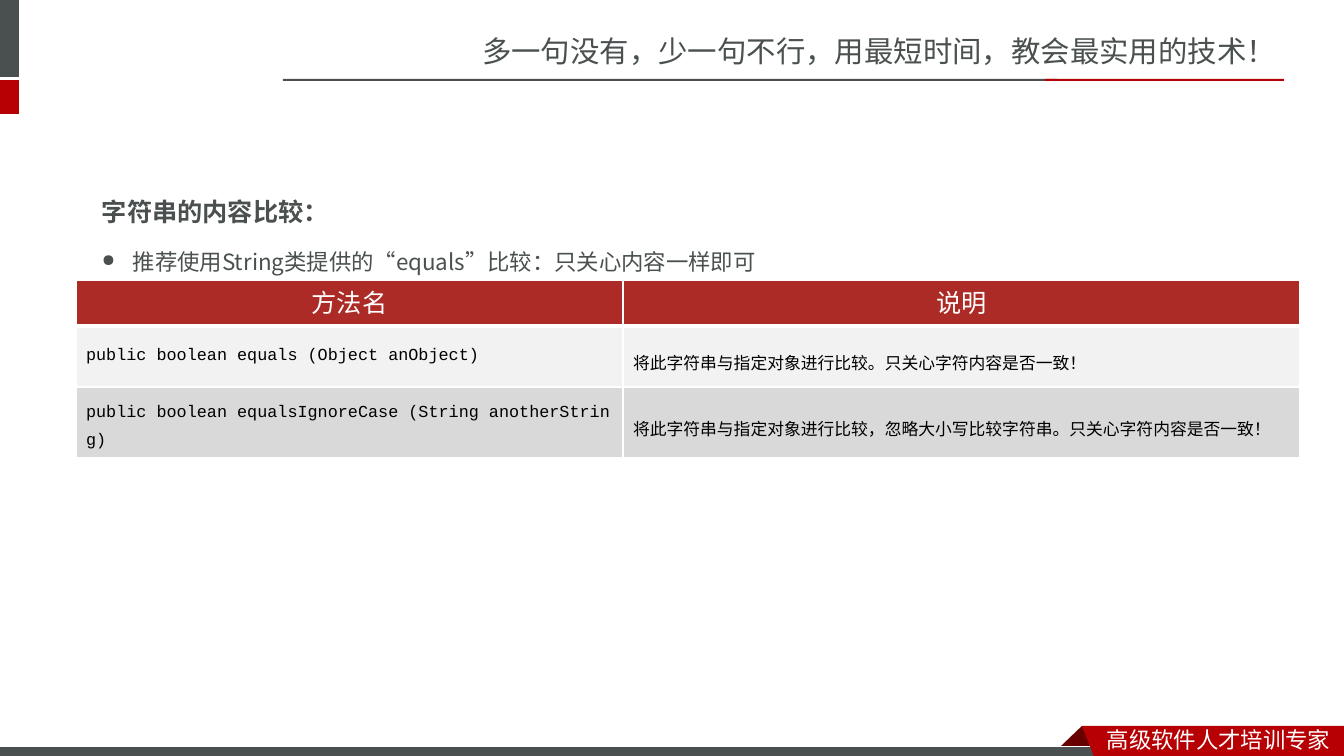
"""Builds the slide on comparing string contents."""
from dataclasses import dataclass

from lxml.etree import SubElement
from pptx import Presentation
from pptx.dml.color import RGBColor
from pptx.enum.shapes import MSO_SHAPE as Shape
from pptx.enum.text import MSO_ANCHOR as Anchor, MSO_AUTO_SIZE as AutoSize, PP_ALIGN as Align
from pptx.oxml import parse_xml
from pptx.oxml.ns import nsdecls, qn
from pptx.util import Emu, Pt

SCALE = 914400 / 100.8


def px(count):
    """Turn pixels into EMU."""
    return Emu(round(count * SCALE))


@dataclass(frozen=True)
class Theme:
    """Colours, fonts and type sizes of the slide."""
    slate: str = "49504F"
    red: str = "B60004"
    fold: str = "680000"
    header: str = "AD2B26"
    bands: tuple = ("F2F2F2", "D9D9D9")
    white: str = "FFFFFF"
    black: str = "000000"
    sans: str = "Noto Sans CJK SC"
    body: str = "Noto Sans CJK JP"
    head_face: str = "Arial"
    code_face: str = "Courier New"
    note_face: str = "Calibri"
    slogan_size: int = 21
    heading_size: int = 18
    text_size: int = 16
    cell_size: int = 12


class Painter:
    """Draws styled elements on one page."""

    def __init__(self, page, theme):
        self.page = page
        self.theme = theme

    def style(self, para, size, color, face, bold=False, asian=None):
        """Format every run of a paragraph."""
        for span in para.runs:
            font = span.font
            font.size, font.bold, font.name = Pt(size), bold, face
            font.color.rgb = RGBColor.from_string(color)
            SubElement(span._r.get_or_add_rPr(), qn("a:ea"), typeface=asian or face)

    def paint(self, shape, color, outline=None):
        """Fill a shape and outline it if asked."""
        shape.shadow.inherit = False
        shape.fill.solid()
        shape.fill.fore_color.rgb = RGBColor.from_string(color)
        if outline:
            shape.line.color.rgb = RGBColor.from_string(outline)
            shape.line.width = Pt(0.75)
        else:
            shape.line.fill.background()

    def bar(self, left, top, width, height, color, outline=None):
        """Add a rectangle."""
        shape = self.page.shapes.add_shape(Shape.RECTANGLE, *map(px, (left, top, width, height)))
        self.paint(shape, color, outline)

    def outline(self, points, color):
        """Add a closed polygon."""
        builder = self.page.shapes.build_freeform(*points[0], scale=SCALE)
        builder.add_line_segments(points[1:], close=True)
        self.paint(builder.convert_to_shape(), color)

    def fit(self, box, lines):
        """Set top-left text in a box that grows."""
        frame = box.text_frame
        frame.text = "\n".join(lines)
        frame.word_wrap = True
        frame.auto_size = AutoSize.SHAPE_TO_FIT_TEXT
        frame.vertical_anchor = Anchor.TOP
        for para in frame.paragraphs:
            para.alignment = Align.LEFT
        return frame.paragraphs

    def title(self, left, top, width, height, text):
        """Move and format the title placeholder."""
        box = self.page.shapes.title
        box.left, box.top, box.width, box.height = map(px, (left, top, width, height))
        para, = self.fit(box, [text])
        self.style(para, self.theme.slogan_size, self.theme.slate, self.theme.sans)

    def text(self, left, top, width, height, *lines):
        """Add a text box and return its paragraphs."""
        box = self.page.shapes.add_textbox(*map(px, (left, top, width, height)))
        return self.fit(box, lines)

    def bullet(self, para, indent):
        """Give a paragraph a small round bullet."""
        props = para._p.get_or_add_pPr()
        props.set("marL", str(px(indent)))
        props.set("indent", str(-px(indent)))
        SubElement(props, qn("a:buSzPct"), val="75000")
        SubElement(props, qn("a:buChar"), char="●")

    def borders(self, cell, top, bottom):
        """Draw white borders round a cell."""
        props = cell._tc.get_or_add_tcPr()
        sides = {"lnL": 1, "lnR": 1, "lnT": top, "lnB": bottom}
        for index, (side, width) in enumerate(sides.items()):
            props.insert(index, parse_xml(
                f'<a:{side} {nsdecls("a")} w="{Pt(width)}"><a:solidFill>'
                f'<a:srgbClr val="{self.theme.white}"/></a:solidFill></a:{side}>'))

    def table(self, left, top, widths, heights, rows):
        """Add a table with a header and banded rows."""
        theme = self.theme
        frame = self.page.shapes.add_table(
            len(rows), len(widths), *map(px, (left, top, sum(widths), sum(heights))))
        grid = frame.table
        for column, width in zip(grid.columns, widths):
            column.width = px(width)
        for index, (row, height, texts) in enumerate(zip(grid.rows, heights, rows)):
            row.height = px(height)
            for cell, text, face in zip(row.cells, texts, (theme.code_face, theme.note_face)):
                cell.text = text
                cell.vertical_anchor = Anchor.MIDDLE
                cell.fill.solid()
                fill = theme.bands[index - 1] if index else theme.header
                cell.fill.fore_color.rgb = RGBColor.from_string(fill)
                self.borders(cell, 3 if index == 1 else 1, 1 if index else 3)
                para = cell.text_frame.paragraphs[0]
                if index:
                    para.line_spacing = 1.5
                    self.style(para, theme.cell_size, theme.black, face, asian=theme.sans)
                else:
                    para.alignment = Align.CENTER
                    para.line_spacing = Pt(24)
                    self.style(para, theme.heading_size, theme.white, theme.head_face,
                               asian=theme.sans)
        return grid


def main():
    """Build and save the deck."""
    deck = Presentation()
    deck.slide_width, deck.slide_height = px(1344), px(756)
    theme = Theme()
    painter = Painter(deck.slides.add_slide(deck.slide_layouts[5]), theme)

    painter.title(472, 28, 872, 45, "多一句没有，少一句不行，用最短时间，教会最实用的技术！")
    painter.bar(-6, 0, 25, 77, theme.slate)
    painter.bar(-6, 80, 25, 34, theme.red)
    painter.bar(283, 79, 774, 2, theme.slate)
    painter.bar(1045, 79, 239, 2, theme.red)

    painter.outline([(1082, 726), (1104, 748), (1103, 749), (1060, 749), (1059, 748)], theme.fold)
    painter.bar(-1, 747, 1109, 12, theme.slate, theme.white)
    painter.outline([(1082, 726), (1344, 726), (1344, 760), (1095, 759)], theme.red)
    banner, = painter.text(1097, 721, 247, 37, "高级软件人才培训专家")
    painter.style(banner, theme.text_size, theme.white, theme.sans)

    heading, advice = painter.text(
        92, 161, 831, 118, "字符串的内容比较：",
        "推荐使用String类提供的“equals”比较：只关心内容一样即可")
    heading.line_spacing, advice.line_spacing = Pt(43), Pt(35)
    painter.style(heading, theme.heading_size, theme.slate, theme.body, bold=True)
    painter.style(advice, theme.text_size, theme.slate, theme.body)
    painter.bullet(advice, 31)

    hard_space = chr(160)
    signatures = [line.replace(" ", hard_space) for line in (
        "public boolean equals (Object anObject)",
        "public boolean equalsIgnoreCase (String anotherString)")]
    grid = painter.table(76, 280, (547, 677), (46, 61, 60), [
        ("方法名", "说明"),
        (signatures[0], "将此字符串与指定对象进行比较。只关心字符内容是否一致！"),
        (signatures[1], "将此字符串与指定对象进行比较，忽略大小写比较字符串。只关心字符内容是否一致！")])
    first = grid.cell(1, 0).text_frame.paragraphs[0]
    first.alignment, first.line_spacing = Align.JUSTIFY, 1.0

    deck.save("out.pptx")


if __name__ == "__main__":
    main()
